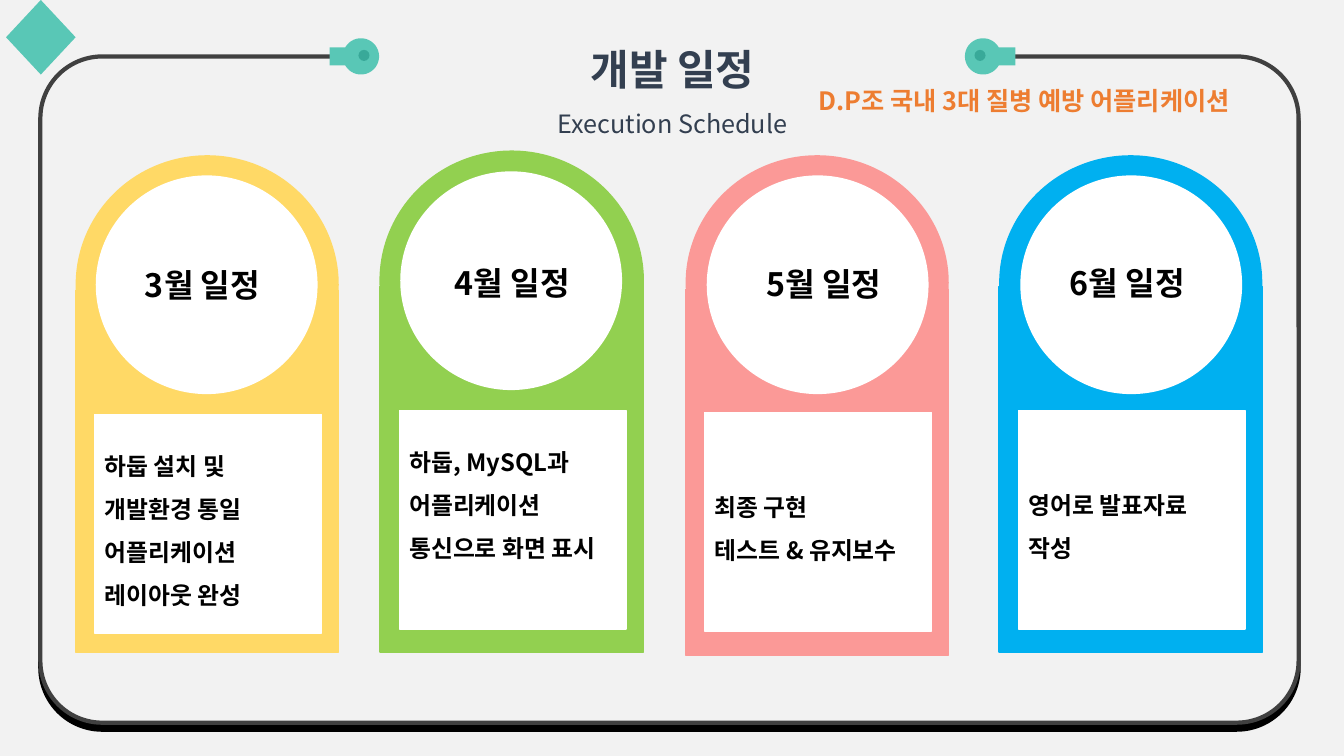
import math

import pptx
import pptx.dml.color
import pptx.enum.shapes
import pptx.enum.text
import pptx.oxml
import pptx.oxml.ns
import pptx.util

Inches = pptx.util.Inches
Pt = pptx.util.Pt
Shape = pptx.enum.shapes.MSO_SHAPE
Align = pptx.enum.text.PP_ALIGN
Anchor = pptx.enum.text.MSO_ANCHOR
AutoSize = pptx.enum.text.MSO_AUTO_SIZE

TITLE = "개발 일정"
SUBTITLE = "Execution Schedule"
TAGLINE = "D.P조 국내 3대 질병 예방 어플리케이션"

# Lengths in inches; spare is extra room below the task text
MONTHS = [
    {"label": "3월 일정", "color": "FFD966", "left": 0.75, "arch": (1.54, 2.57), "body": (2.88, 3.59),
     "disc_shift": 0.2, "box_top": 4.11, "label_at": (0.85, 2.58), "arch_line": None, "spare": 0,
     "tasks": ["하둡 설치 및 개발환경 통일", "어플리케이션 레이아웃 완성"]},
    {"label": "4월 일정", "color": "92D050", "left": 3.77, "arch": (1.5, 2.57), "body": (2.84, 3.63),
     "disc_shift": 0.2, "box_top": 4.07, "label_at": (3.92, 2.56), "arch_line": "92D050", "spare": 0.43,
     "tasks": ["하둡, MySQL과", "어플리케이션 통신으로 화면 표시"]},
    {"label": "5월 일정", "color": "FB9997", "left": 6.8, "arch": (1.54, 2.53), "body": (2.87, 3.63),
     "disc_shift": 0.21, "box_top": 4.09, "label_at": (7.01, 2.57), "arch_line": None, "spare": 0,
     "tasks": ["최종 구현", "테스트 & 유지보수"]},
    {"label": "6월 일정", "color": "00B0F0", "left": 9.91, "arch": (1.54, 2.53), "body": (2.84, 3.63),
     "disc_shift": 0.21, "box_top": 4.07, "label_at": (10.02, 2.56), "arch_line": None, "spare": 0,
     "tasks": ["영어로 발표자료 작성"]},
]

# Knob centre, end of the stem, hole centre
PLUGS = [
    {"knob": (9.75, 0.56), "stem_end": 10.07, "hole": (9.72, 0.55)},
    {"knob": (3.58, 0.56), "stem_end": 3.27, "hole": (3.61, 0.55)},
]
KNOB_RADIUS, STEM_HALF, HOLE_SIZE = 0.18, 0.09, 0.11
COLUMN_WIDTH, DISC_SIZE, BOX_SIZE, LABEL_SIZE = 2.61, (2.2, 2.17), (2.25, 2.17), (2.32, 0.49)
DISC_DROP, BOX_SHIFT, INSET = 0.2, 0.19, 0.05

THEME = {
    "font": "Noto Sans CJK KR",
    "background": "F2F2F2", "frame": "404040", "shadow": "000000",
    "teal": "59C7B6", "dark_teal": "39A999", "white": "FFFFFF",
    "title": {"size": Pt(30), "bold": True, "color": "333F50"},
    "subtitle": {"size": Pt(18), "bold": False, "color": "333F50"},
    "tagline": {"size": Pt(18), "bold": True, "color": "ED7D31"},
    "label": {"size": Pt(23), "bold": True, "color": "000000"},
    "task": {"size": Pt(17), "bold": True, "color": "000000"},
}


def rgb(color):
    return pptx.dml.color.RGBColor.from_string(color)


def paint(shape, fill, line=None, line_width=1):
    shape.shadow.inherit = False
    shape.fill.solid()
    shape.fill.fore_color.rgb = rgb(fill)
    if line:
        shape.line.color.rgb = rgb(line)
        shape.line.width = Pt(line_width)
    else:
        shape.line.fill.background()


def add_shape(shapes, kind, bounds, fill, line=None, line_width=1):
    shape = shapes.add_shape(kind, *map(Inches, bounds))
    paint(shape, fill, line, line_width)
    return shape


def write(text_frame, lines, frame_format, paragraph_format):
    """Fill a frame with (text, style name) lines."""
    for name, value in frame_format.items():
        setattr(text_frame, name, value)
    for index, (text, style) in enumerate(lines):
        paragraph = text_frame.paragraphs[0] if index == 0 else text_frame.add_paragraph()
        for name, value in paragraph_format.items():
            setattr(paragraph, name, value)
        run = paragraph.add_run()
        run.text = text
        font_format = dict(THEME[style], name=THEME["font"])
        run.font.color.rgb = rgb(font_format.pop("color"))
        for name, value in font_format.items():
            setattr(run.font, name, value)
        east_asian = pptx.oxml.parse_xml(
            f'<a:ea {pptx.oxml.ns.nsdecls("a")} typeface="{THEME["font"]}"/>')
        run.font._element.find(pptx.oxml.ns.qn("a:latin")).addnext(east_asian)


def add_frame(shapes):
    frame = add_shape(shapes, Shape.ROUNDED_RECTANGLE, (0.4, 0.56, 12.48, 6.61),
                      THEME["background"], THEME["frame"], 3)
    frame.adjustments[0] = 0.093
    effects = frame._element.spPr.find(pptx.oxml.ns.qn("a:effectLst"))
    effects.append(pptx.oxml.parse_xml(
        f'<a:outerShdw {pptx.oxml.ns.nsdecls("a")} blurRad="0" dist="{Pt(5)}" dir="5400000" '
        f'algn="t" rotWithShape="0"><a:srgbClr val="{THEME["shadow"]}"/></a:outerShdw>'))


def add_plug(shapes, plug):
    """Draw a round knob with a stem, and a hole in the knob."""
    group = shapes.add_group_shape()
    center_x, center_y = plug["knob"]
    side = math.copysign(1, plug["stem_end"] - center_x)
    start = math.asin(STEM_HALF / KNOB_RADIUS)
    steps = 32
    angles = [start + (2 * math.pi - 2 * start) * step / steps for step in range(steps + 1)]
    points = [(center_x + side * KNOB_RADIUS * math.cos(angle),
               center_y + KNOB_RADIUS * math.sin(angle)) for angle in angles]
    points += [(plug["stem_end"], center_y - STEM_HALF), (plug["stem_end"], center_y + STEM_HALF)]
    outline = [(Inches(x), Inches(y)) for x, y in points]
    builder = group.shapes.build_freeform(*outline[0])
    builder.add_line_segments(outline[1:], close=True)
    paint(builder.convert_to_shape(), THEME["teal"])
    hole_x, hole_y = plug["hole"]
    add_shape(group.shapes, Shape.OVAL,
              (hole_x - HOLE_SIZE / 2, hole_y - HOLE_SIZE / 2, HOLE_SIZE, HOLE_SIZE),
              THEME["dark_teal"])


def add_month(shapes, month):
    left, color = month["left"], month["color"]
    arch_top, arch_height = month["arch"]
    body_top, body_height = month["body"]
    add_shape(shapes, Shape.OVAL, (left, arch_top, COLUMN_WIDTH, arch_height),
              color, month["arch_line"])
    add_shape(shapes, Shape.RECTANGLE, (left, body_top, COLUMN_WIDTH, body_height), color, color)
    add_shape(shapes, Shape.OVAL,
              (left + month["disc_shift"], arch_top + DISC_DROP, *DISC_SIZE), THEME["white"])
    box = add_shape(shapes, Shape.RECTANGLE, (left + BOX_SHIFT, month["box_top"], *BOX_SIZE),
                    THEME["white"], THEME["white"])
    write(box.text_frame, [(task, "task") for task in month["tasks"]],
          {"word_wrap": True, "vertical_anchor": Anchor.MIDDLE,
           "margin_bottom": Inches(INSET + month["spare"])},
          {"alignment": Align.LEFT, "line_spacing": 1.5})
    label = shapes.add_textbox(*map(Inches, (*month["label_at"], *LABEL_SIZE)))
    write(label.text_frame, [(month["label"], "label")],
          {"word_wrap": True, "auto_size": AutoSize.SHAPE_TO_FIT_TEXT},
          {"alignment": Align.CENTER})


def main():
    presentation = pptx.Presentation()
    presentation.slide_width, presentation.slide_height = Inches(13.33), Inches(7.5)
    slide = presentation.slides.add_slide(presentation.slide_layouts[6])
    slide.background.fill.solid()
    slide.background.fill.fore_color.rgb = rgb(THEME["background"])
    shapes = slide.shapes

    add_frame(shapes)
    heading = add_shape(shapes, Shape.RECTANGLE, (3.32, 0.13, 6.7, 1.31), THEME["background"])
    write(heading.text_frame, [(TITLE, "title"), (SUBTITLE, "subtitle")],
          {"word_wrap": True, "vertical_anchor": Anchor.TOP,
           "auto_size": AutoSize.SHAPE_TO_FIT_TEXT},
          {"alignment": Align.CENTER, "line_spacing": 1.5})
    for plug in PLUGS:
        add_plug(shapes, plug)
    add_shape(shapes, Shape.DIAMOND, (0.06, 0, 0.69, 0.74), THEME["teal"])
    for month in MONTHS:
        add_month(shapes, month)
    tagline = shapes.add_textbox(*map(Inches, (8.02, 0.8, 4.68, 0.4)))
    write(tagline.text_frame, [(TAGLINE, "tagline")],
          {"word_wrap": False, "auto_size": AutoSize.SHAPE_TO_FIT_TEXT},
          {"alignment": Align.LEFT})
    presentation.save("out.pptx")


if __name__ == "__main__":
    main()
